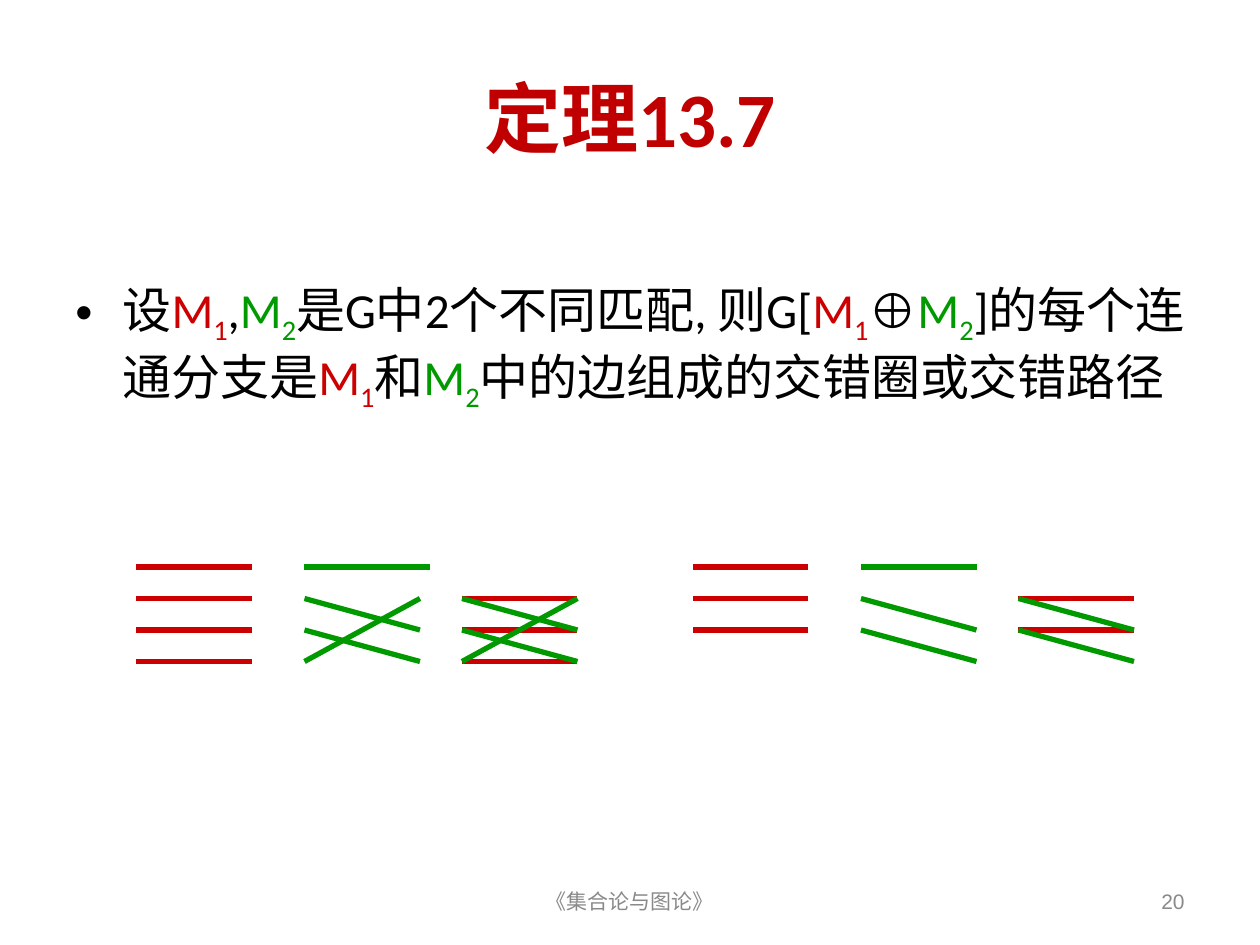
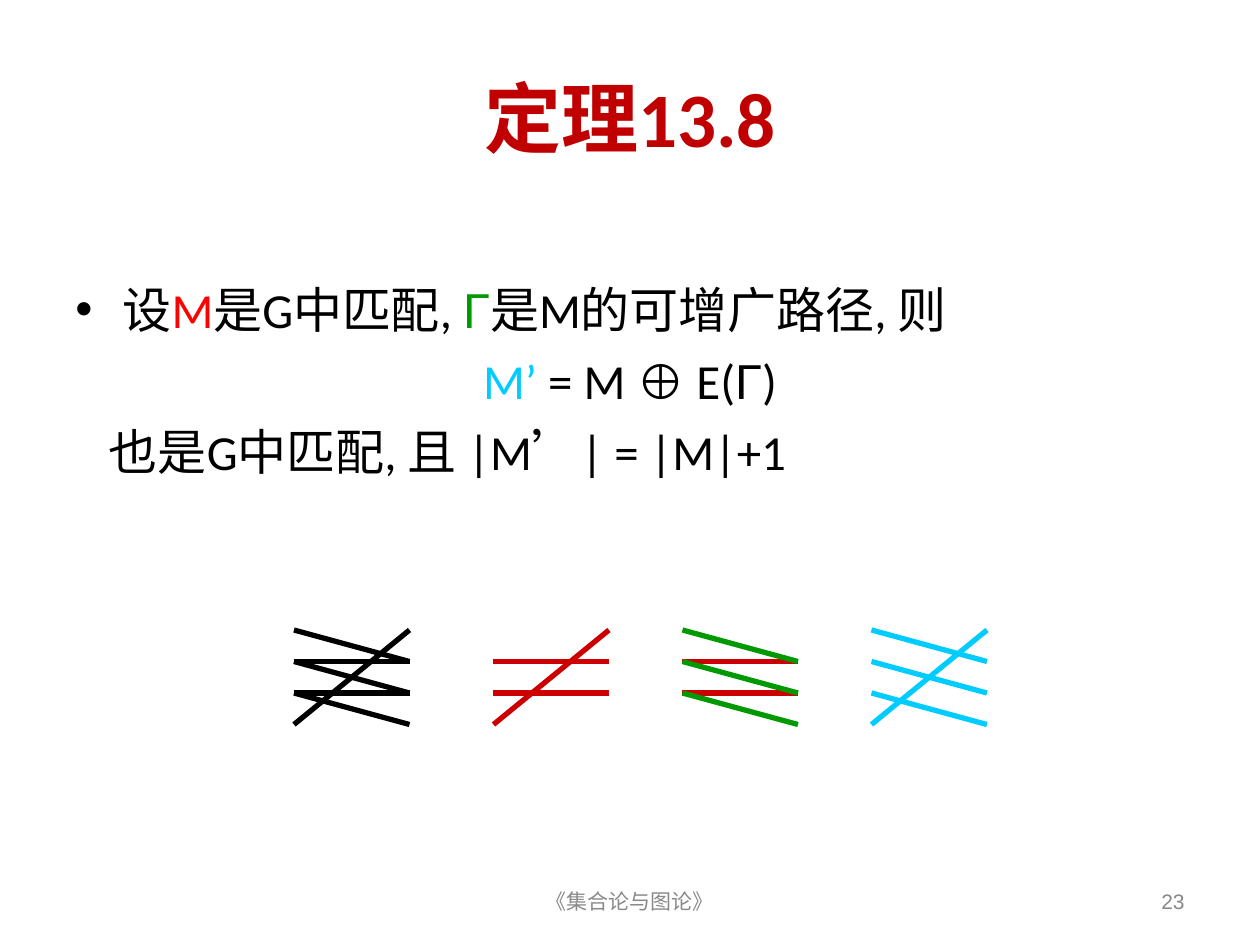
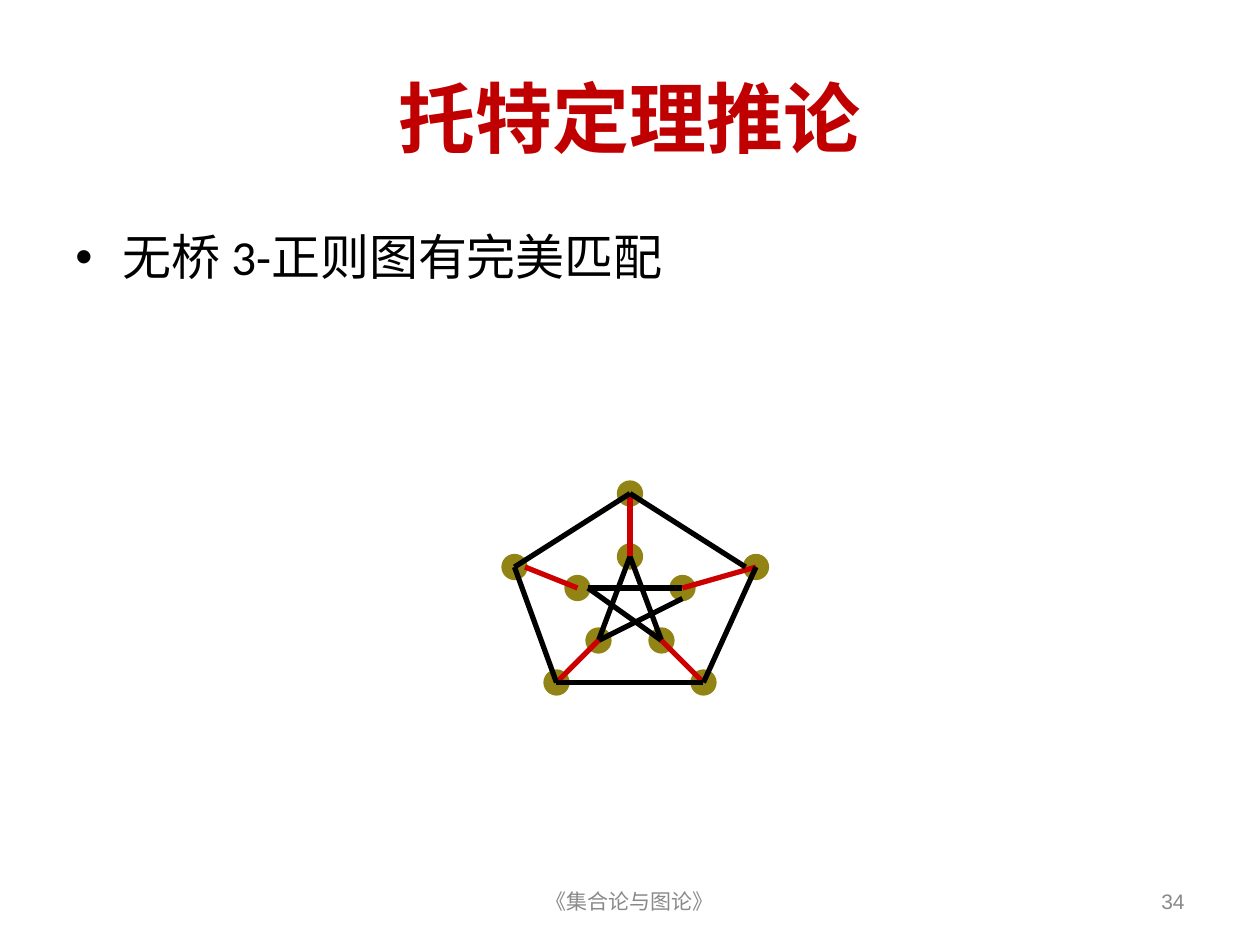
from itertools import pairwise

from lxml.etree import SubElement
from pptx import Presentation
from pptx.dml.color import RGBColor
from pptx.enum.shapes import MSO_CONNECTOR, MSO_SHAPE
from pptx.enum.text import MSO_ANCHOR, MSO_AUTO_SIZE, PP_ALIGN
from pptx.oxml.ns import qn
from pptx.util import Pt

PX = 7620
BLACK, RED, GREEN, CYAN = "000000", "CC0000", "009900", "00CCFF"
TITLE_RED, GREY, OLIVE = "C00000", "898989", "918415"
SUB = "-25000"
TITLE = {"name": "Calibri", "size": Pt(44), "bold": True}
BODY = {"name": "Calibri", "size": Pt(28)}
FOOTER = {"name": "Arial", "size": Pt(12)}
HANGING = 45
LEFT, CENTER, RIGHT = PP_ALIGN.LEFT, PP_ALIGN.CENTER, PP_ALIGN.RIGHT


def fill_paragraph(p, runs, fmt, align):
    p.alignment = align
    for text, color, *baseline in runs:
        r = p.add_run()
        r.text = text
        for key, value in fmt.items():
            setattr(r.font, key, value)
        if text in ("⊕", "Γ"):
            r.font.name = "Arial"
        r.font.color.rgb = RGBColor.from_string(color)
        if baseline:
            r._r.get_or_add_rPr().set("baseline", baseline[0])


def draw_chain(s, color, points):
    for start, end in pairwise(points):
        ends = [v * PX for v in (*start, *end)]
        sp = s.shapes.add_connector(MSO_CONNECTOR.STRAIGHT, *ends)
        sp.line.color.rgb = RGBColor.from_string(color)
        sp.line.width = Pt(3)
        SubElement(sp._element.spPr, qn("a:effectLst"))


M1 = [("M", RED), ("1", RED, SUB)]
M2 = [("M", GREEN), ("2", GREEN, SUB)]

slides = [
    {
        "title": "定理13.7",
        "number": "20",
        "body": (60, 260, 1080, 454),
        "paragraphs": [
            (LEFT, HANGING, True, [
                ("设", BLACK), *M1, (",", BLACK), *M2,
                ("是G中2个不同匹配, 则G[", BLACK), *M1, ("⊕", BLACK), *M2,
                ("]的每个连通分支是", BLACK), *M1, ("和", BLACK), *M2,
                ("中的边组成的交错圈或交错路径", BLACK)]),
        ],
        "top": 540,
        "edges": [
            (130, 110, RED, [(0, 0), (1, 1), (2, 2), (3, 3)]),
            (290, 120, GREEN, [(0, 0)]),
            (290, 110, GREEN, [(1, 2), (2, 3), (3, 1)]),
            (440, 110, RED, [(1, 1), (2, 2), (3, 3)]),
            (440, 110, GREEN, [(1, 2), (2, 3), (3, 1)]),
            (660, 110, RED, [(0, 0), (1, 1), (2, 2)]),
            (820, 110, GREEN, [(0, 0), (1, 2), (2, 3)]),
            (970, 110, RED, [(1, 1), (2, 2)]),
            (970, 110, GREEN, [(1, 2), (2, 3)]),
        ],
    },
    {
        "title": "定理13.8",
        "number": "23",
        "body": (60, 260, 1080, 454),
        "paragraphs": [
            (LEFT, HANGING, True, [
                ("设", BLACK), ("M", "FF0000"), ("是G中匹配, ", BLACK),
                ("Γ", GREEN), ("是M的可增广路径, 则", BLACK)]),
            (CENTER, 0, False, [
                ("M’", CYAN), (" = M ", BLACK), ("⊕", BLACK),
                (" E(", BLACK), ("Γ", BLACK), (")", BLACK)]),
            (LEFT, 32, False, [("也是G中匹配, 且 |M’| = |M|+1", BLACK)]),
        ],
        "top": 600,
        "edges": [
            (280, 110, BLACK, [(3, 0), (0, 1), (1, 1), (2, 2), (1, 2), (2, 3)]),
            (470, 110, RED, [(3, 0), (1, 1), (2, 2)]),
            (650, 110, RED, [(1, 1), (2, 2)]),
            (650, 110, GREEN, [(0, 1), (1, 2), (2, 3)]),
            (830, 110, CYAN, [(3, 0), (0, 1), (1, 2), (2, 3)]),
        ],
    },
    {
        "title": "托特定理推论",
        "number": "34",
        "body": (60, 210, 1080, 594),
        "paragraphs": [
            (LEFT, HANGING, True, [("无桥 3-正则图有完美匹配", BLACK)]),
        ],
        "top": 0,
        "edges": [],
    },
]

prs = Presentation()
prs.slide_width, prs.slide_height = 1200 * PX, 900 * PX

for data in slides:
    s = prs.slides.add_slide(prs.slide_layouts[5])
    title = s.shapes.title
    title.left, title.top, title.width, title.height = [v * PX for v in (60, 36, 1080, 150)]
    tf = title.text_frame
    tf.auto_size = MSO_AUTO_SIZE.NONE
    tf.vertical_anchor = MSO_ANCHOR.MIDDLE
    fill_paragraph(tf.paragraphs[0], [(data["title"], TITLE_RED)], TITLE, CENTER)

    tf = s.shapes.add_textbox(*[v * PX for v in data["body"]]).text_frame
    tf.word_wrap = True
    for i, (align, margin, bullet, runs) in enumerate(data["paragraphs"]):
        p = tf.add_paragraph() if i else tf.paragraphs[0]
        pPr = p._p.get_or_add_pPr()
        pPr.set("marL", str(margin * PX))
        pPr.set("indent", str(-margin * PX if bullet else 0))
        if bullet:
            SubElement(pPr, qn("a:buFont"), typeface="Arial")
            SubElement(pPr, qn("a:buChar"), char="•")
        p.space_before = Pt(7 if i else 0)
        fill_paragraph(p, runs, BODY, align)

    for left, width, text, align in (
        (410, 380, "《集合论与图论》", CENTER),
        (860, 280, data["number"], RIGHT),
    ):
        tf = s.shapes.add_textbox(left * PX, 834 * PX, width * PX, 48 * PX).text_frame
        tf.word_wrap = True
        tf.vertical_anchor = MSO_ANCHOR.MIDDLE
        fill_paragraph(tf.paragraphs[0], [(text, GREY)], FOOTER, align)

    for left, width, color, rows in data["edges"]:
        for start, end in rows:
            draw_chain(s, color, [(left, data["top"] + start * 30),
                                  (left + width, data["top"] + end * 30)])

outer = [(600, 470), (720, 540), (670, 650), (530, 650), (490, 540)]
inner = [(600, 530), (650, 560), (630, 610), (570, 610), (550, 560)]
for x, y in outer + inner:
    sp = s.shapes.add_shape(MSO_SHAPE.OVAL, (x - 10) * PX, (y - 10) * PX, 20 * PX, 20 * PX)
    sp.shadow.inherit = False
    sp.fill.solid()
    sp.fill.fore_color.rgb = RGBColor.from_string(OLIVE)
    sp.line.color.rgb = RGBColor.from_string(OLIVE)
    sp.line.width = Pt(3)

draw_chain(s, BLACK, [(560, 560), (650, 560)])
draw_chain(s, BLACK, [(650, 570), (570, 610), (600, 530), (630, 610), (560, 560)])
for spoke in zip(inner, outer[:4] + [(500, 540)]):
    draw_chain(s, RED, spoke)
draw_chain(s, BLACK, [(600, 470), (710, 540)])
draw_chain(s, BLACK, outer[1:] + outer[:1])

prs.save("out.pptx")
